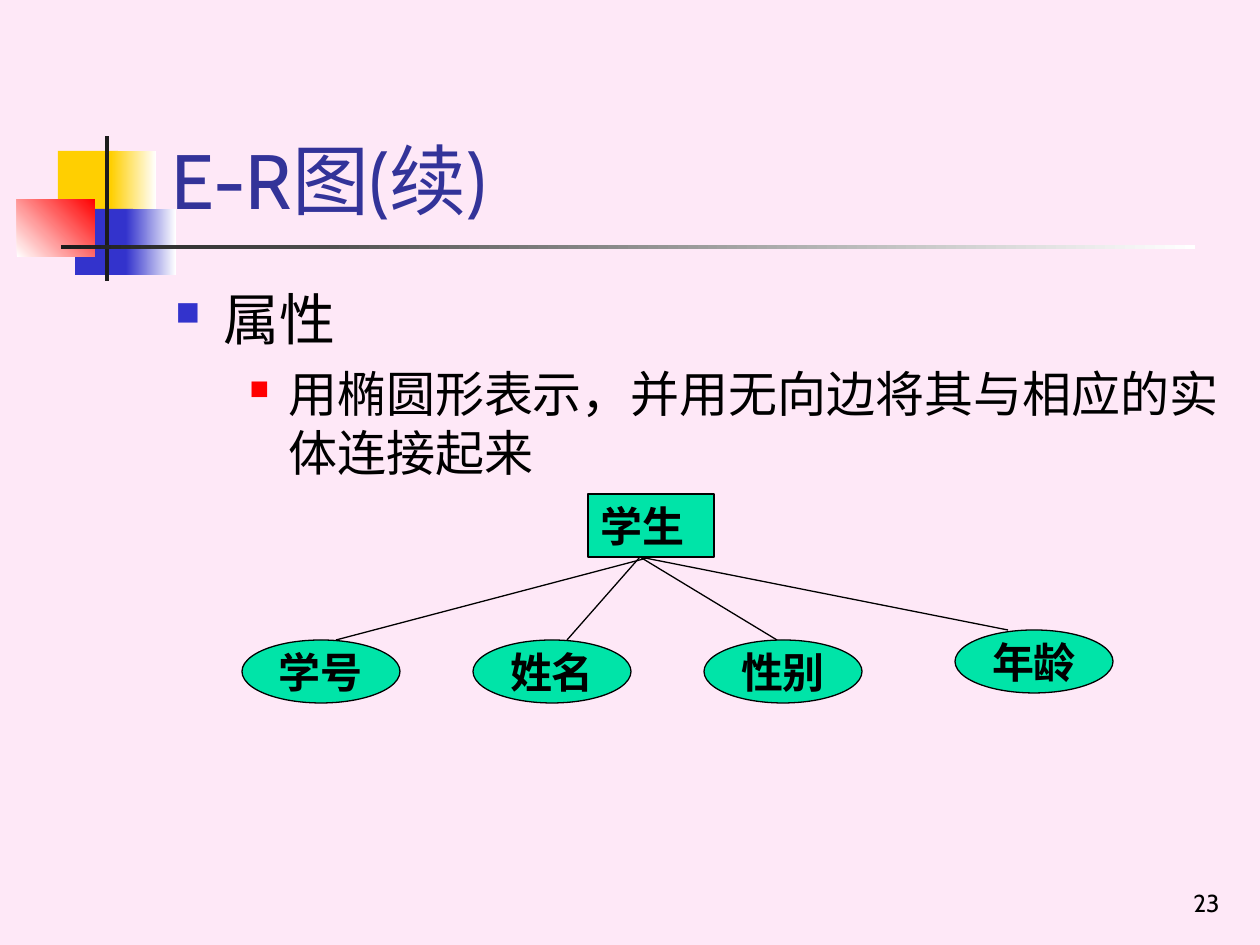
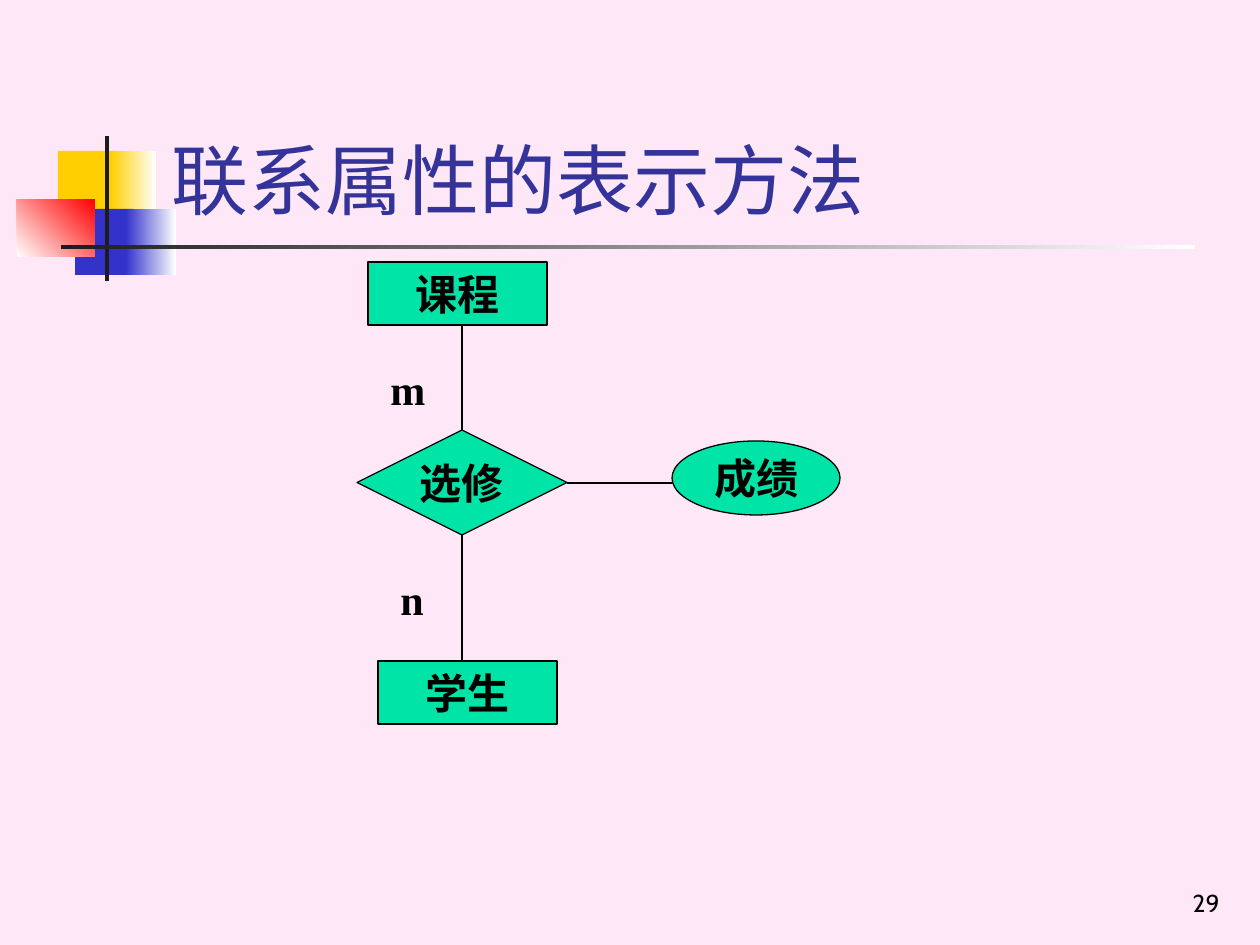
from lxml import etree
from pptx import Presentation
from pptx import util as u
from pptx.dml.color import RGBColor
from pptx.enum import shapes, text
from pptx.oxml import ns

PX = 914400 / 126
COLORS = {
    "page": "FEE8F7", "yellow": "FFCF01", "blue": "3333CC", "red": "FF0000",
    "white": "FFFFFF", "ink": "1C1C1C", "title": "333399", "black": "000000",
    "node": "00E4A8",
}
BODY_FONT, NODE_FONT = "Cabin", "Times New Roman"
RECT, OVAL, DIAMOND = (shapes.MSO_SHAPE.RECTANGLE, shapes.MSO_SHAPE.OVAL,
                       shapes.MSO_SHAPE.DIAMOND)
LEFT, CENTER, RIGHT = text.PP_ALIGN.LEFT, text.PP_ALIGN.CENTER, text.PP_ALIGN.RIGHT
TOP, MIDDLE, BOTTOM = (text.MSO_ANCHOR.TOP, text.MSO_ANCHOR.MIDDLE,
                       text.MSO_ANCHOR.BOTTOM)


def px(*lengths):
    """Turn pixel lengths into EMU."""
    return [u.Emu(round(length * PX)) for length in lengths]


def rgb(name):
    """Look up a colour by name."""
    return RGBColor.from_string(COLORS[name])


def style(paragraph, size, font, color="black", bold=False, align=LEFT, before=0):
    """Set the font, alignment and leading space of a paragraph."""
    paragraph.alignment = align
    paragraph.space_before = u.Pt(before)
    paragraph.font.size = u.Pt(size)
    paragraph.font.name = font
    paragraph.font.bold = bold
    paragraph.font.color.rgb = rgb(color)


def add_text(slide, box, words, size, font, anchor=TOP, **looks):
    """Add a wrapping text box with one paragraph."""
    frame = slide.shapes.add_textbox(*px(*box)).text_frame
    frame.word_wrap = True
    frame.vertical_anchor = anchor
    frame.text = words
    style(frame.paragraphs[0], size, font, **looks)
    return frame


def add_block(slide, box, start, end=None, angle=0):
    """Add a borderless rectangle, plain or fading between two colours."""
    block = slide.shapes.add_shape(RECT, *px(*box))
    block.shadow.inherit = False
    block.line.fill.background()
    if end is None:
        block.fill.solid()
        block.fill.fore_color.rgb = rgb(start)
        return
    block.fill.gradient()
    block.fill.gradient_angle = angle
    for stop, color in zip(block.fill.gradient_stops, (start, end)):
        stop.color.rgb = rgb(color)


def add_ornament(slide, left, top):
    """Draw the coloured squares and the crossing rules beside the title."""
    for (x, y, width, height), *fade in (
        ((41, 15, 60, 66), "yellow"),
        ((94, 15, 45, 66), "yellow", "white"),
        ((58, 73, 58, 66), "blue"),
        ((109, 73, 50, 66), "blue", "white"),
        ((0, 63, 78, 58), "white", "red", 45),
        ((88, 0, 4, 145), "ink"),
        ((44, 109, 1134, 4), "ink", "white"),
    ):
        add_block(slide, (left + x, top + y, width, height), *fade)


def add_page(deck, title, number):
    """Add a slide with the shared background, ornament, title and number."""
    slide = deck.slides.add_slide(deck.slide_layouts[6])
    slide.background.fill.solid()
    slide.background.fill.fore_color.rgb = rgb("page")
    add_ornament(slide, 17, 136)
    add_text(slide, (970, 861, 262, 63), number, 14, BODY_FONT, BOTTOM, align=RIGHT)
    add_text(slide, (159, 29, 1074, 202), title, 44, BODY_FONT, BOTTOM, color="title")
    return slide


def set_bullet(paragraph, color, percent, margin, hang):
    """Give a paragraph a square bullet and a hanging indent."""
    props = paragraph._p.get_or_add_pPr()
    props.set("marL", str(px(margin)[0]))
    props.set("indent", str(px(-hang)[0]))
    tint = etree.SubElement(props, ns.qn("a:buClr"))
    etree.SubElement(tint, ns.qn("a:srgbClr"), val=COLORS[color])
    etree.SubElement(props, ns.qn("a:buSzPct"), val=str(percent * 1000))
    etree.SubElement(props, ns.qn("a:buChar"), char="■")


def add_outline(slide, box, heading, detail):
    """Write a bulleted heading with one bulleted detail below it."""
    frame = add_text(slide, box, heading, 32, BODY_FONT, before=8)
    set_bullet(frame.paragraphs[0], "blue", 60, 48, 48)
    point = frame.add_paragraph()
    point.text = detail
    point.level = 1
    style(point, 28, BODY_FONT, before=7)
    set_bullet(point, "red", 55, 113, 39)


def add_node(slide, kind, box, label, align=CENTER):
    """Add a green entity, relationship or attribute with its label."""
    node = slide.shapes.add_shape(kind, *px(*box))
    node.shadow.inherit = False
    node.fill.solid()
    node.fill.fore_color.rgb = rgb("node")
    node.line.color.rgb = rgb("black")
    node.line.width = u.Pt(0.75)
    is_entity = kind == RECT
    frame = node.text_frame
    frame.word_wrap = is_entity
    frame.vertical_anchor = TOP if is_entity else MIDDLE
    if is_entity:
        frame.auto_size = text.MSO_AUTO_SIZE.SHAPE_TO_FIT_TEXT
    frame.text = label
    style(frame.paragraphs[0], 24, NODE_FONT, bold=True, align=align,
          before=15 if is_entity else 0)


def add_edge(slide, *ends):
    """Draw a thin undirected line between two points."""
    edge = slide.shapes.add_connector(shapes.MSO_CONNECTOR.STRAIGHT, *px(*ends))
    edge.line.color.rgb = rgb("black")
    edge.line.width = u.Pt(0.75)
    etree.SubElement(edge._element.spPr, ns.qn("a:effectLst"))


def add_attribute_diagram(slide, left, top):
    """Draw an entity joined to its four attributes."""
    add_node(slide, RECT, (left + 346, top, 126, 63), "学生", LEFT)
    for label, x, y, start, end in (
        ("学号", 0, 146, 409, 94),
        ("姓名", 231, 146, 398, 325),
        ("性别", 462, 146, 398, 535),
        ("年龄", 713, 136, 398, 766),
    ):
        add_node(slide, OVAL, (left + x, top + y, 158, 63), label)
        add_edge(slide, left + start, top + 63, left + end, top + y)


def add_relationship_diagram(slide, left, top):
    """Draw two entities joined by a relationship that has an attribute."""
    for kind, (x, y, width, height), label in (
        (RECT, (11, 0, 179, 63), "课程"),
        (DIAMOND, (0, 168, 210, 105), "选修"),
        (RECT, (21, 399, 179, 63), "学生"),
    ):
        add_node(slide, kind, (left + x, top + y, width, height), label)
    for x1, y1, x2, y2 in ((105, 168, 105, 63), (105, 273, 105, 399),
                           (210, 221, 315, 221)):
        add_edge(slide, left + x1, top + y1, left + x2, top + y2)
    for degree, x, y in (("m", 21, 95), ("n", 31, 305)):
        frame = add_text(slide, (left + x, top + y, 53, 63), degree, 24, NODE_FONT,
                         bold=True, before=15)
        frame.auto_size = text.MSO_AUTO_SIZE.SHAPE_TO_FIT_TEXT
    add_node(slide, OVAL, (left + 315, top + 179, 168, 74), "成绩")


def main():
    """Build and save the two slides."""
    deck = Presentation()
    deck.slide_width, deck.slide_height = px(1260, 945)
    attributes = add_page(deck, "E-R图(续)", "23")
    add_outline(attributes, (163, 278, 1071, 567), "属性",
                "用椭圆形表示，并用无向边将其与相应的实体连接起来")
    add_attribute_diagram(attributes, 242, 494)
    relationship = add_page(deck, "联系属性的表示方法", "29")
    add_relationship_diagram(relationship, 357, 262)
    deck.save("out.pptx")


if __name__ == "__main__":
    main()
